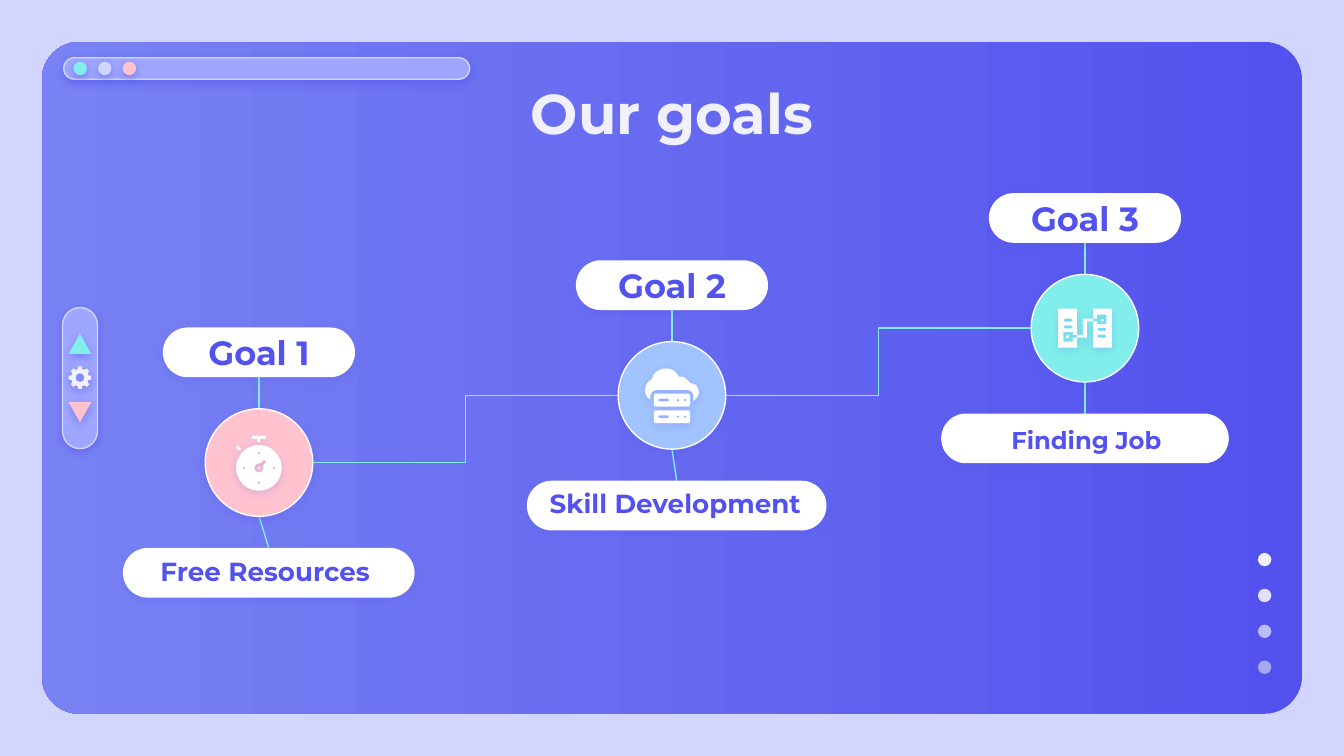
from dataclasses import dataclass
from math import cos, radians, sin

from lxml import etree
from pptx import Presentation
from pptx.dml.color import RGBColor
from pptx.enum.shapes import MSO_CONNECTOR, MSO_SHAPE
from pptx.enum.text import MSO_ANCHOR, PP_ALIGN
from pptx.oxml.ns import qn
from pptx.util import Inches, Pt

ROUNDED, OVAL, TRIANGLE = MSO_SHAPE.ROUNDED_RECTANGLE, MSO_SHAPE.OVAL, MSO_SHAPE.ISOSCELES_TRIANGLE
STRAIGHT, ELBOW = MSO_CONNECTOR.STRAIGHT, MSO_CONNECTOR.ELBOW
TOP, MIDDLE, CENTER = MSO_ANCHOR.TOP, MSO_ANCHOR.MIDDLE, PP_ALIGN.CENTER
TITLE_ONLY = 5
COLUMNS, ROWS = 100, 56.25
CELL = Inches(0.1)
ICON_UNIT = CELL / 10


@dataclass(frozen=True)
class Theme:
    font: str = "Montserrat"
    indigo: str = "5352EE"
    violet: str = "7882F3"
    lilac: str = "9EA6FF"
    mist: str = "D2D6FF"
    pale: str = "F1F0FF"
    white: str = "FFFFFF"
    pink: str = "FFC3D0"
    blue: str = "A1C3FF"
    aqua: str = "81EEEB"
    title_size: int = 30
    label_size: int = 18
    caption_size: int = 14
    small_caption_size: int = 13
    hairline: float = 0.75


THEME = Theme()


@dataclass(frozen=True)
class Goal:
    label: str
    caption: str
    colour: str
    caption_size: int
    pill_center: float
    pill_width: float
    text_center: float
    text_width: float
    text_drop: float


GOALS = [
    Goal("Goal 1", "Free Resources", THEME.pink, THEME.caption_size, 20, 21.7, 19.73, 17.8, -0.1),
    Goal("Goal 2", "Skill Development", THEME.blue, THEME.caption_size, 50.35, 22.3, 50.25, 25.5, -0.2),
    Goal("Goal 3", "Finding Job", THEME.aqua, THEME.small_caption_size, 80.73, 21.4, 80.83, 20, 0.1),
]


def cells(*counts):
    return [round(count * CELL) for count in counts]


def rgb(code):
    return RGBColor.from_string(code)


def add_shadow(shape, opacity):
    shape.shadow.inherit = False
    effects = shape.element.spPr.find(qn("a:effectLst"))
    outer = etree.SubElement(effects, qn("a:outerShdw"), blurRad=str(Pt(4.5)), dist=str(Pt(1.5)),
                             dir="5400000", algn="bl", rotWithShape="0")
    tint = etree.SubElement(outer, qn("a:srgbClr"), val=THEME.indigo)
    etree.SubElement(tint, qn("a:alpha"), val=str(opacity * 1000))


def paint(shape, fill, outline=None, shadow=50, opacity=100):
    shape.fill.solid()
    shape.fill.fore_color.rgb = rgb(fill)
    if opacity < 100:
        tint = shape.element.spPr.find(qn("a:solidFill"))[0]
        etree.SubElement(tint, qn("a:alpha"), val=str(opacity * 1000))
    if outline:
        shape.line.color.rgb = rgb(outline)
        shape.line.width = Pt(THEME.hairline)
    else:
        shape.line.fill.background()
    add_shadow(shape, shadow)


def add_block(slide, preset, box, fill, turn=0, **finish):
    block = slide.shapes.add_shape(preset, *cells(*box))
    if preset == ROUNDED:
        block.adjustments[0] = 0.5
    block.rotation = turn
    paint(block, fill, **finish)


def add_line(slide, kind, start, end):
    line = slide.shapes.add_connector(kind, *cells(*start, *end))
    line.line.color.rgb = rgb(THEME.aqua)
    line.line.width = Pt(THEME.hairline)
    etree.SubElement(line.element.spPr, qn("a:effectLst"))


def write(holder, text, size, colour, anchor=MIDDLE):
    frame = holder.text_frame
    frame.word_wrap = True
    frame.vertical_anchor = anchor
    frame.margin_left = frame.margin_right = frame.margin_top = frame.margin_bottom = CELL
    paragraph = frame.paragraphs[0]
    paragraph.text = text
    paragraph.alignment = CENTER
    font = paragraph.runs[0].font
    font.name, font.size, font.bold = THEME.font, Pt(size), True
    font.color.rgb = rgb(colour)


def add_text(slide, box, text, size):
    write(slide.shapes.add_textbox(*cells(*box)), text, size, THEME.indigo)


def pill(left, top, width, height, radius=None):
    r = height / 2 if radius is None else radius
    k = 0.45 * r
    right, bottom = left + width, top + height
    steps = [(left + r, top)]
    for step in ((right - r, top), (right - k, top, right, top + k, right, top + r),
                 (right, bottom - r), (right, bottom - k, right - k, bottom, right - r, bottom),
                 (left + r, bottom), (left + k, bottom, left, bottom - k, left, bottom - r),
                 (left, top + r), (left, top + k, left + k, top, left + r, top)):
        if max(abs(a - b) for a, b in zip(step[-2:], steps[-1][-2:])) > 0.01:
            steps.append(step)
    return steps


def circle(x, y, radius):
    return pill(x - radius, y - radius, 2 * radius, 2 * radius)


def bend_curves(shape, outlines):
    segments = shape.element.iter(qn("a:lnTo"))
    segments = iter(list(segments))
    for step in (step for outline in outlines for step in outline[1:]):
        nodes = [next(segments) for _ in range(len(step) // 2)]
        if len(nodes) == 3:
            bend = etree.Element(qn("a:cubicBezTo"))
            nodes[0].addprevious(bend)
            for node in nodes:
                bend.append(node[0])
                node.getparent().remove(node)


def add_icon(slide, center, parts, fill, shadow):
    shapes = slide.shapes.add_group_shape().shapes if len(parts) > 1 else slide.shapes
    for outlines in parts:
        builder = None
        for outline in outlines:
            start, *points = [(center[0] * CELL + x * ICON_UNIT, center[1] * CELL + y * ICON_UNIT)
                              for step in outline for x, y in zip(step[::2], step[1::2])]
            if builder:
                builder.move_to(*start)
            else:
                builder = shapes.build_freeform(*start)
            builder.add_line_segments(points)
        figure = builder.convert_to_shape()
        bend_curves(figure, outlines)
        paint(figure, fill, shadow=shadow)


def gear():
    teeth = [(r * cos(radians(45 * i + a)), r * sin(radians(45 * i + a)))
             for i in range(8) for r, a in ((6.6, -15), (8.5, -10), (8.5, 10), (6.6, 15))]
    return [[teeth, circle(0, 0, 3.3)]]


def stopwatch():
    marks = [circle(x, y, 1.1) for x, y in ((0, -7), (-11, 4), (11, 4), (0, 15))]
    hand = [(5.4, -0.6), (3, 2.2), (3.3, 2.8, 3.5, 3.4, 3.5, 4), (3.5, 6, 2, 7.5, 0, 7.5),
            (-2, 7.5, -3.5, 6, -3.5, 4), (-3.5, 2, -2, 0.5, 0, 0.5),
            (0.5, 0.5, 0.9, 0.6, 1.2, 0.7), (3.8, -2)]
    knob = [(-16, -13), (-13, -10), (-15, -9), (-17, -11)]
    crown = [(-5, -20), (5, -20), (5, -17.6), (1.1, -17.6), (1.1, -15),
             (-1.1, -15), (-1.1, -17.6), (-5, -17.6)]
    return [[circle(0, 4, 1.1)], [knob], [crown], [circle(0, 4, 17), *marks, hand]]


def cloud_server():
    cloud = [(-4, -20), (-10, -20, -14, -17, -15, -12), (-18, -10, -20, -8, -20, -4),
             (-20, -1, -19, 2, -16, 3), (-16, 0), (-16, -2, -14, -4, -12, -4), (12, -4),
             (14, -4, 16, -2, 16, 0), (16, 4), (18, 3, 20, 0, 20, -2),
             (20, -6, 18, -9, 14, -9), (13, -10, 12, -11, 11, -12),
             (10, -14, 8, -14, 5, -14), (3, -18, 0, -20, -4, -20)]
    racks = [[pill(-13.5, top, 27, 9.6, 1.2), pill(-10.5, top + 3.7, 8.5, 2.2),
              circle(4.5, top + 4.8, 1.1), circle(9.8, top + 4.8, 1.1)] for top in (-1.3, 11.1)]
    return [[cloud], *racks]


def linked_panels():
    panel = [(-20, -14.5), (-6, -14.5), (-6, 5), (-9, 5), (-9, 3), (-16, 3), (-16, 10),
             (-9, 10), (-9, 7), (-6, 7), (-6, 14.5), (-20, 14.5)]
    left = [panel, pill(-16, -7, 7, 2.2), pill(-16, -2, 7, 2.2)]
    port = [(-14, 5), (-12, 5), (-12, 7), (-14, 7)]
    link = [(-6, 5), (-1.5, 5), (-1.5, -7), (6, -7), (6, -5), (1.5, -5), (1.5, 7), (-6, 7)]
    right, far_port = [[[tuple(-v for v in step) for step in outline] for outline in part]
                       for part in (left, [port])]
    return [[port], far_port, [link], left, right]


def add_window(slide):
    card = slide.shapes.add_shape(ROUNDED, *cells(3.12, 3.12, 93.76, 50))
    card.adjustments[0] = 0.056
    card.fill.gradient()
    card.fill.gradient_angle = 180
    for stop, colour, position in zip(card.fill.gradient_stops, (THEME.indigo, THEME.violet), (0, 1)):
        stop.color.rgb = rgb(colour)
        stop.position = position
    card.line.fill.background()
    card.shadow.inherit = False
    add_block(slide, ROUNDED, (4.74, 4.3, 30.2, 1.6), THEME.lilac, outline=THEME.mist)
    for i, opacity in enumerate((100, 90, 67, 54)):
        add_block(slide, OVAL, (93.6, 41.14 + 2.67 * i, 1, 1), THEME.pale, opacity=opacity)
    for i, colour in enumerate((THEME.aqua, THEME.mist, THEME.pink)):
        add_block(slide, OVAL, (5.47 + 1.83 * i, 4.6, 1, 1), colour)


def add_side_rail(slide):
    add_block(slide, ROUNDED, (0.7, 26.83, 10.5, 2.6), THEME.lilac, turn=90, outline=THEME.mist)
    add_block(slide, TRIANGLE, (5.1, 24.83, 1.7, 1.5), THEME.aqua)
    add_block(slide, TRIANGLE, (5.1, 29.92, 1.7, 1.5), THEME.pink, turn=180)
    add_icon(slide, (5.95, 28.1), gear(), THEME.pale, 52)


def add_title(slide, text):
    title = slide.shapes.title
    title.left, title.top, title.width, title.height = cells(7.85, 4.85, 84.3, 6.3)
    write(title, text, THEME.title_size, THEME.pale, anchor=TOP)
    title.element.getparent().append(title.element)


def add_goal(slide, goal, x, y, icon):
    caption_top = y + 6.35
    add_line(slide, STRAIGHT, (x, y - 4), (x, y - 6.35))
    add_line(slide, STRAIGHT, (x, y + 4), (goal.pill_center, caption_top))
    add_block(slide, ROUNDED, (x - 7.15, y - 10.05, 14.3, 3.7), THEME.white, shadow=18)
    add_text(slide, (x - 5.95, y - 9.27, 11.9, 2.1), goal.label, THEME.label_size)
    add_block(slide, OVAL, (x - 4, y - 4, 8, 8), goal.colour, outline=THEME.white, shadow=22)
    add_icon(slide, (x, y), icon, THEME.white, 19)
    add_block(slide, ROUNDED, (goal.pill_center - goal.pill_width / 2, caption_top,
                               goal.pill_width, 3.7), THEME.white, shadow=18)
    add_text(slide, (goal.text_center - goal.text_width / 2, caption_top + 0.6 + goal.text_drop,
                     goal.text_width, 2.5), goal.caption, goal.caption_size)


def main():
    deck = Presentation()
    deck.slide_width, deck.slide_height = cells(COLUMNS, ROWS)
    slide = deck.slides.add_slide(deck.slide_layouts[TITLE_ONLY])
    slide.background.fill.solid()
    slide.background.fill.fore_color.rgb = rgb(THEME.mist)
    add_window(slide)
    add_title(slide, "Our goals")
    add_side_rail(slide)
    centers = [(19.27 + 30.73 * i, 34.42 - 5 * i) for i in range(len(GOALS))]
    for (x, y), (next_x, next_y) in zip(centers, centers[1:]):
        add_line(slide, ELBOW, (x + 4, y), (next_x - 4, next_y))
    for goal, (x, y), icon in zip(GOALS, centers, (stopwatch(), cloud_server(), linked_panels())):
        add_goal(slide, goal, x, y, icon)
    deck.save("out.pptx")


if __name__ == "__main__":
    main()
